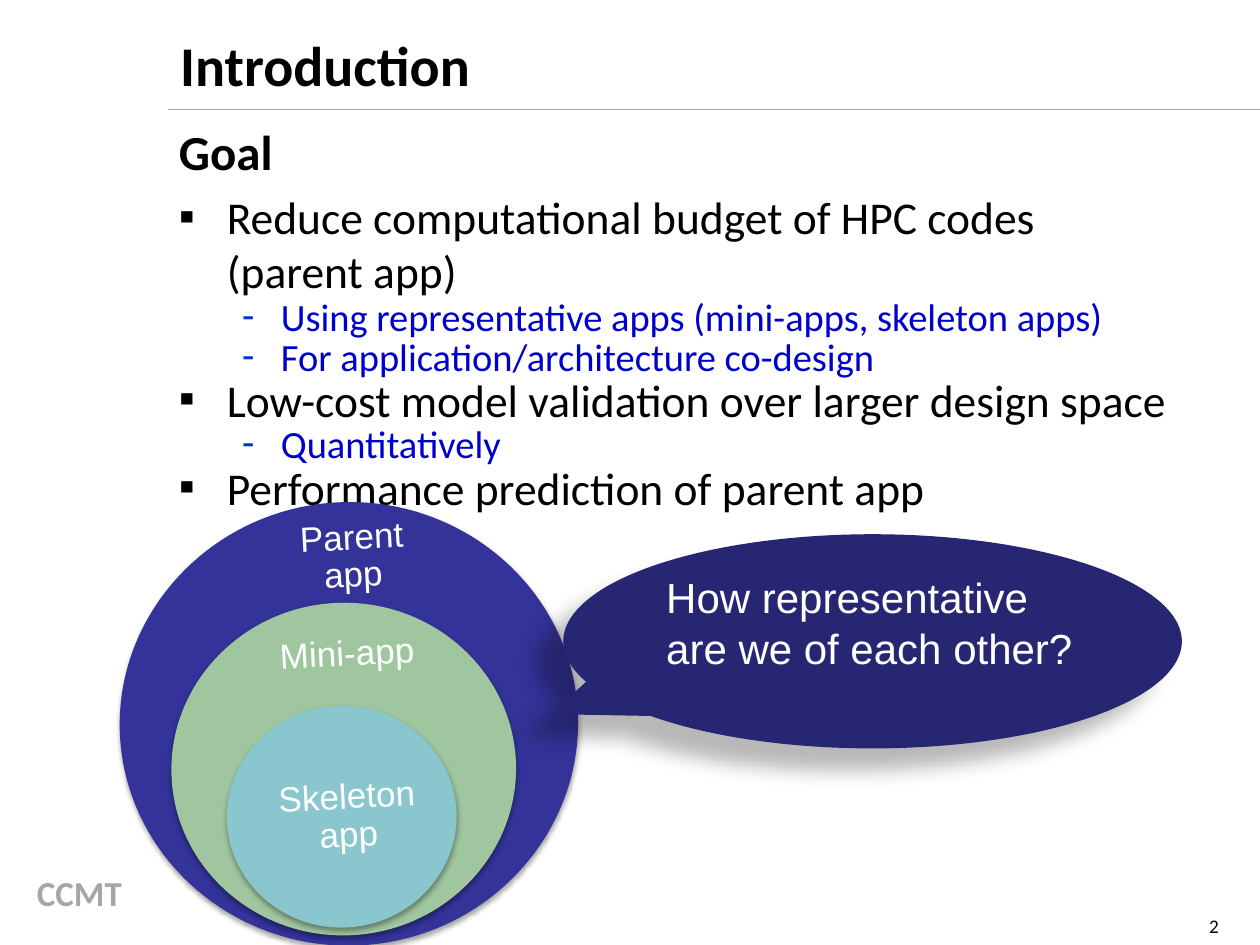
from lxml import etree
from pptx import Presentation
from pptx.dml.color import RGBColor
from pptx.enum.shapes import MSO_CONNECTOR, MSO_SHAPE
from pptx.enum.text import MSO_ANCHOR, MSO_AUTO_SIZE, PP_ALIGN
from pptx.oxml import parse_xml
from pptx.oxml.ns import nsdecls, qn
from pptx.util import Inches, Pt

TOP, MIDDLE = MSO_ANCHOR.TOP, MSO_ANCHOR.MIDDLE
LEFT, CENTER = PP_ALIGN.LEFT, PP_ALIGN.CENTER
MARGINS = ("margin_left", "margin_top", "margin_right", "margin_bottom")


def write(p, text, size, font, color, bold=False, **fmt):
    """Add one run to a paragraph and format both."""
    r = p.add_run()
    r.text = text
    r.font.color.rgb = RGBColor.from_string(color)
    for name, value in dict(size=Pt(size), name=font, bold=bold).items():
        setattr(r.font, name, value)
    for name, value in fmt.items():
        setattr(p, name, value)


def finish(sp, fill, alpha, blur, dist, angle):
    """Solid fill, no outline, soft outer shadow."""
    sp.fill.solid()
    sp.fill.fore_color.rgb = RGBColor.from_string(fill)
    sp.line.fill.background()
    sp.shadow.inherit = False
    sp._element.spPr.find(qn("a:effectLst")).append(parse_xml(
        f'<a:outerShdw {nsdecls("a")} blurRad="{Pt(blur)}" dist="{Pt(dist)}" '
        f'dir="{angle * 60000}" rotWithShape="0"><a:srgbClr val="000000">'
        f'<a:alpha val="{alpha * 1000}"/></a:srgbClr></a:outerShdw>'))


prs = Presentation()
prs.slide_width, prs.slide_height = Inches(10), Inches(7.5)
s = prs.slides.add_slide(prs.slide_layouts[1])
column = Inches(1.33)

# Footer label and page number
for text, box, size, color, bold, anchor in [
    ("CCMT", (0.02, 6.87, 1.22, 0.44), 20, "A6A6A6", True, TOP),
    ("2", (9.26, 7.1, 0.75, 0.5), 11, "000000", False, MIDDLE),
]:
    tf = s.shapes.add_textbox(*map(Inches, box)).text_frame
    tf.word_wrap, tf.vertical_anchor = True, anchor
    write(tf.paragraphs[0], text, size, "Calibri", color, bold, alignment=CENTER)

# Rule under the title
rule = s.shapes.add_connector(MSO_CONNECTOR.STRAIGHT, column, Inches(0.87),
                              prs.slide_width, Inches(0.87))
rule.line.color.rgb = RGBColor.from_string("A6A6A6")
rule.line.width = Pt(1)
etree.SubElement(rule._element.spPr, qn("a:effectLst"))

# Title and body placeholders
title, body = s.shapes.title, s.placeholders[1]
for sp, top, width, height in [(title, 0.19, 8.67, 1.25), (body, 0.92, 8.05, 3.27)]:
    sp.left, sp.top = column, Inches(top)
    sp.width, sp.height = Inches(width), Inches(height)
    tf = sp.text_frame
    tf.auto_size, tf.vertical_anchor, tf.word_wrap = MSO_AUTO_SIZE.NONE, TOP, True
for name, inset in zip(MARGINS, (0.09, 0.04) * 2):
    setattr(body.text_frame, name, Inches(inset))
write(title.text_frame.paragraphs[0], "Introduction", 32, "Calibri", "000000",
      True, alignment=LEFT)

# Goal list: text, style, line spacing
STYLES = {  # size, colour, level, left indent, hanging, bullet, bullet colour
    "head": (28, "000000", 0, 0, 0, None, None),
    "item": (26, "000000", 0, 0.38, 0.38, "▪", "000000"),
    "sub": (22, "0000CC", 1, 0.81, 0.31, "-", "0033CC"),
}
tf = body.text_frame
for i, (text, style, spacing) in enumerate([
    ("Goal", "head", 1.0),
    ("Reduce computational budget of HPC codes (parent app)", "item", 1.0),
    ("Using representative apps (mini-apps, skeleton apps)", "sub", 0.7),
    ("For application/architecture co-design", "sub", 0.7),
    ("Low-cost model validation over larger design space", "item", 0.7),
    ("Quantitatively", "sub", 0.7),
    ("Performance prediction of parent app", "item", 0.7),
]):
    size, color, level, left, hang, bullet, bullet_color = STYLES[style]
    p = tf.add_paragraph() if i else tf.paragraphs[0]
    write(p, text, size, "Calibri", color, style == "head", level=level,
          line_spacing=spacing, space_before=Pt(0.2 * size))
    pPr = p._p.get_or_add_pPr()
    pPr.set("marL", str(Inches(left)))
    pPr.set("indent", str(-Inches(hang)))
    if bullet:
        clr = etree.SubElement(pPr, qn("a:buClr"))
        etree.SubElement(clr, qn("a:srgbClr"), val=bullet_color)
        etree.SubElement(pPr, qn("a:buFont"), typeface="Arial")
        etree.SubElement(pPr, qn("a:buChar"), char=bullet)
    else:
        etree.SubElement(pPr, qn("a:buNone"))

# Nested circles: four curves each, slightly narrower than the label's box
NARROW, K = 0.95, 0.55
QUARTERS = [((-1, -K), (-K, -1), (0, -1)), ((K, -1), (1, -K), (1, 0)),
            ((1, K), (K, 1), (0, 1)), ((-K, 1), (-1, K), (-1, 0))]
for text, box, fill, insets in [
    ("Parent app", (0.95, 3.98, 3.83, 3.52), "333399", (1.3, 0.33, 1.3, 2.97)),
    ("Mini-app", (1.36, 4.78, 2.88, 2.64), "9FC69F", (0.86, 0.32, 0.86, 2.13)),
    ("Skeleton app", (1.8, 5.6, 1.92, 1.76), "8AC6CD", (0.41, 0.6, 0.41, 0.6)),
]:
    x, y, w, h = map(Inches, box)
    outline = s.shapes.build_freeform(x, y)
    outline.add_line_segments([(x + w, y), (x + w, y + h), (x, y + h)])
    sp = outline.convert_to_shape()
    path = sp._element.spPr.find(".//" + qn("a:path"))
    for segment in list(path):
        path.remove(segment)
    for tag, points in [("a:moveTo", [(-1, 0)])] + [
            ("a:cubicBezTo", quarter) for quarter in QUARTERS]:
        segment = etree.SubElement(path, qn(tag))
        for px, py in points:
            etree.SubElement(segment, qn("a:pt"),
                             x=str(round(w * NARROW * (1 + px) / 2)),
                             y=str(round(h * (1 + py) / 2)))
    etree.SubElement(path, qn("a:close"))
    sp.rotation = -2.9
    finish(sp, fill, 35, 3.1, 1.8, 90)
    tf = sp.text_frame
    tf.word_wrap, tf.vertical_anchor = True, MIDDLE
    for name, inset in zip(MARGINS, insets):
        setattr(tf, name, Inches(inset))
    write(tf.paragraphs[0], text, 20, "Arial", "FFFFFF", alignment=CENTER,
          line_spacing=0.9, space_after=Pt(7))

# Callout
sp = s.shapes.add_shape(MSO_SHAPE.OVAL_CALLOUT,
                        *map(Inches, (4.47, 4.24, 4.91, 1.7)))
sp.adjustments[0], sp.adjustments[1] = -0.52, 0.34
finish(sp, "262673", 28, 11.8, 19.7, 141)
tf = sp.text_frame
tf.word_wrap, tf.vertical_anchor = True, TOP
write(tf.paragraphs[0], "How representative are we of each other?", 24, "Arial",
      "FFFFFF", alignment=LEFT)

prs.save("out.pptx")
